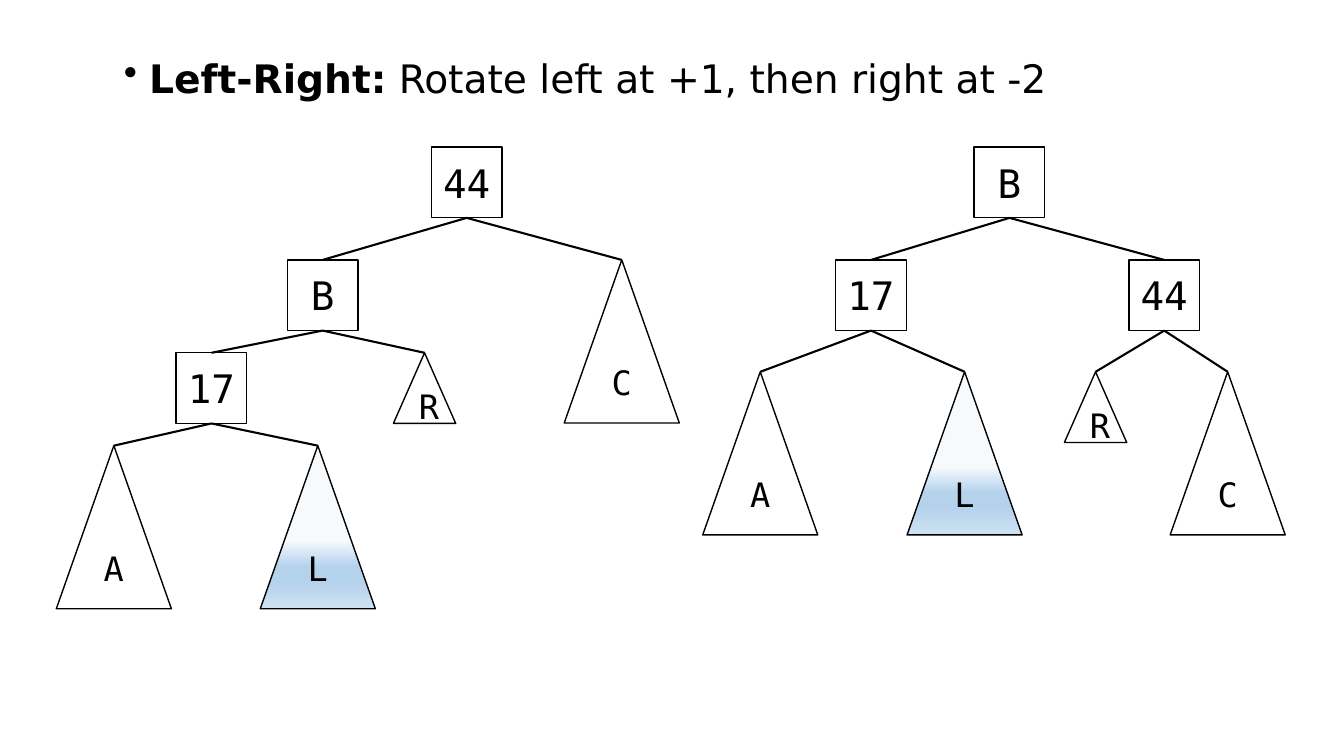
import pptx
import pptx.dml.color
import pptx.enum.shapes
import pptx.enum.text
import pptx.oxml
import pptx.oxml.ns
import pptx.util
from lxml import etree
from pptx.util import Cm

SQUARE = 1.78
TRIANGLES = {"tall": (2.9, 4.11), "small": (1.57, SQUARE)}
INSERTED_STOPS = [(58, "F7FAFD"), (74, "B5D2EC"), (83, "B5D2EC"), (100, "CEE1F2")]

UNBALANCED_TREE = ("44", 11.76, 3.71, [
    ("B", 8.13, 6.55, [
        ("17", 5.33, 8.89, [("A", 2.87, 11.23, "tall"), ("L", 8.01, 11.23, "tall")]),
        ("R", 10.7, 8.89, "small"),
    ]),
    ("C", 15.67, 6.55, "tall"),
])
ROTATED_TREE = ("B", 25.44, 3.71, [
    ("17", 21.95, 6.55, [("A", 19.16, 9.37, "tall"), ("L", 24.31, 9.37, "tall")]),
    ("44", 29.34, 6.55, [("R", 27.61, 9.37, "small"), ("C", 30.94, 9.37, "tall")]),
])


def color(value):
    return pptx.dml.color.RGBColor.from_string(value)


class TreeSlide:
    ink = "000000"
    text_font = "DejaVu Sans"
    label_font = "DejaVu Sans Mono"

    def __init__(self, presentation):
        self.slide = presentation.slides.add_slide(presentation.slide_layouts[6])

    def style_run(self, run, name, size, bold=False):
        run.font.name = name
        run.font.size = pptx.util.Pt(size)
        run.font.bold = bold
        run.font.color.rgb = color(self.ink)

    def heading(self, left, top, width, height, title, body):
        box = self.slide.shapes.add_textbox(Cm(left), Cm(top), Cm(width), Cm(height))
        box.text_frame.word_wrap = True
        paragraph = box.text_frame.paragraphs[0]
        properties = paragraph._p.get_or_add_pPr()
        properties.set("marL", str(Cm(0.64)))
        properties.set("indent", str(Cm(-0.64)))
        bullet = etree.SubElement(properties, pptx.oxml.ns.qn("a:buChar"))
        bullet.set("char", "•")
        for text, bold in ((title, True), (body, False)):
            run = paragraph.add_run()
            run.text = text
            self.style_run(run, self.text_font, 28, bold)

    def labelled_shape(self, kind, center, top, width, height, label, size):
        shape = self.slide.shapes.add_shape(
            kind, Cm(center - width / 2), Cm(top), Cm(width), Cm(height))
        shape.shadow.inherit = False
        shape.fill.background()
        shape.line.color.rgb = color(self.ink)
        shape.line.width = pptx.util.Pt(1)
        shape.text_frame.text = label
        shape.text_frame.vertical_anchor = pptx.enum.text.MSO_ANCHOR.MIDDLE
        paragraph = shape.text_frame.paragraphs[0]
        paragraph.alignment = pptx.enum.text.PP_ALIGN.CENTER
        self.style_run(paragraph.runs[0], self.label_font, size)
        return shape

    def node(self, label, center, top):
        self.labelled_shape(pptx.enum.shapes.MSO_SHAPE.RECTANGLE,
                            center, top, SQUARE, SQUARE, label, 28)

    def subtree(self, label, center, top, size):
        width, height = TRIANGLES[size]
        triangle = self.labelled_shape(pptx.enum.shapes.MSO_SHAPE.ISOSCELES_TRIANGLE,
                                       center, top, width, height, label, 24)
        if label == "L":
            self.gradient(triangle, INSERTED_STOPS)

    def gradient(self, shape, stops):
        shape.fill.gradient()
        shape.fill.gradient_angle = 270
        stop_list = shape._element.spPr.find(".//" + pptx.oxml.ns.qn("a:gsLst"))
        for stop in list(stop_list):
            stop_list.remove(stop)
        for position, value in stops:
            stop = etree.SubElement(stop_list, pptx.oxml.ns.qn("a:gs"))
            stop.set("pos", str(position * 1000))
            etree.SubElement(stop, pptx.oxml.ns.qn("a:srgbClr")).set("val", value)

    def edge(self, start_x, start_y, end_x, end_y):
        connector = self.slide.shapes.add_connector(
            pptx.enum.shapes.MSO_CONNECTOR.STRAIGHT,
            Cm(start_x), Cm(start_y), Cm(end_x), Cm(end_y))
        connector.line.color.rgb = color(self.ink)
        connector.line.width = pptx.util.Pt(1.5)
        etree.SubElement(connector._element.spPr, pptx.oxml.ns.qn("a:effectLst"))

    def tree(self, label, center, top, content):
        if isinstance(content, str):
            self.subtree(label, center, top, content)
            return
        self.node(label, center, top)
        for child in content:
            self.edge(center, top + SQUARE, child[1], child[2])
            self.tree(*child)


def main():
    presentation = pptx.Presentation()
    presentation.slide_width = Cm(33.87)
    presentation.slide_height = Cm(19.05)
    rotation = TreeSlide(presentation)
    rotation.heading(2.87, 1.24, 29.21, 1.75,
                     "Left-Right:", " Rotate left at +1, then right at -2")
    for tree in (UNBALANCED_TREE, ROTATED_TREE):
        rotation.tree(*tree)
    presentation.save("out.pptx")


if __name__ == "__main__":
    main()
